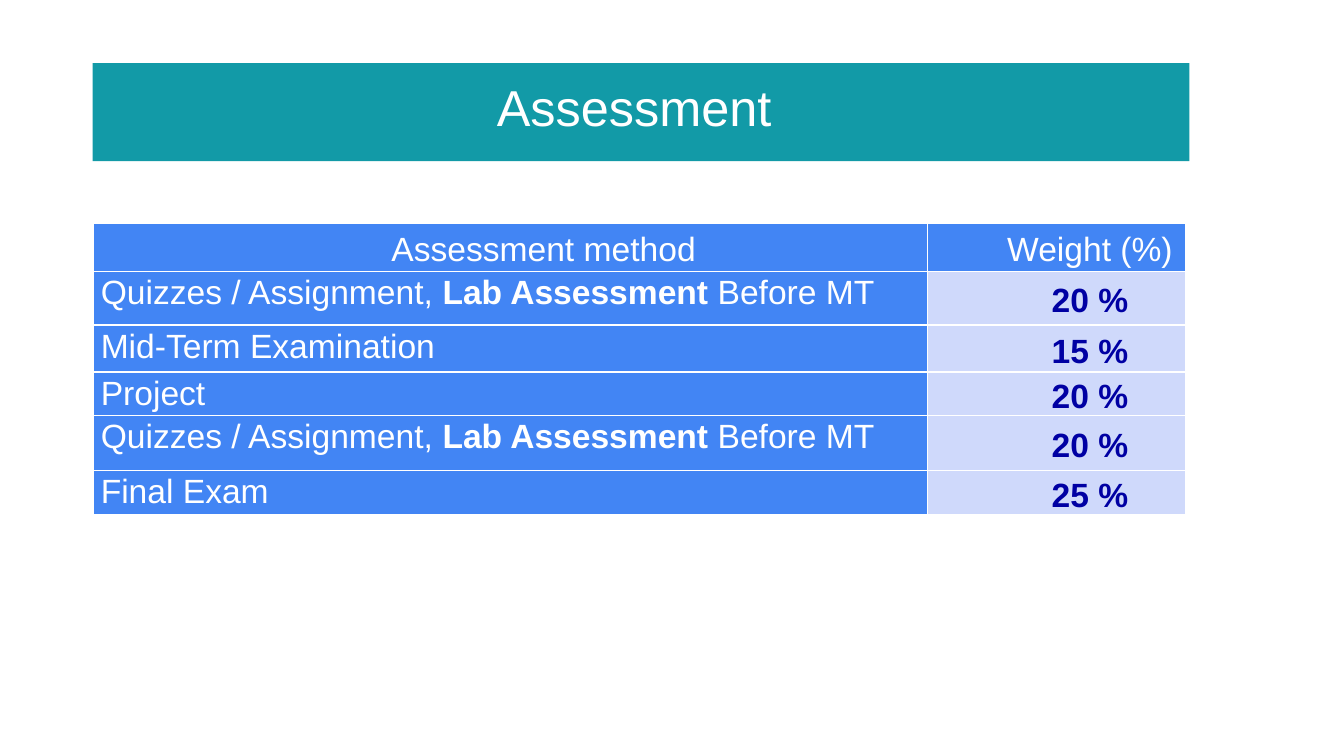
from pptx import Presentation
from pptx.dml.color import RGBColor
from pptx.enum.shapes import MSO_SHAPE
from pptx.enum.text import MSO_ANCHOR, PP_ALIGN
from pptx.util import Inches, Pt

WHITE = RGBColor(0xFF, 0xFF, 0xFF)
TEAL = RGBColor(0x12, 0x9A, 0xA7)
BLUE = RGBColor(0x42, 0x85, 0xF4)
PALE_BLUE = RGBColor(0xCF, 0xD9, 0xFB)
NAVY = RGBColor(0x00, 0x00, 0xA3)


def write(tf, *runs, size=18, color=WHITE, bold=False, align=PP_ALIGN.LEFT,
          spacing=1.0, indent=0):
    """Fill the first paragraph; a run is a string or a (string, bold) pair."""
    p = tf.paragraphs[0]
    p.alignment = align
    p.line_spacing = spacing
    pPr = p._p.get_or_add_pPr()
    pPr.set("marL", str(Inches(indent)))
    pPr.set("indent", "0")
    for run in runs:
        text, run_bold = (run, bold) if isinstance(run, str) else run
        r = p.add_run()
        r.text = text
        r.font.name = "Arial"
        r.font.size = Pt(size)
        r.font.bold = run_bold
        r.font.color.rgb = color


prs = Presentation()
prs.slide_width = Inches(10)
prs.slide_height = Inches(10) * 9 // 16
s = prs.slides.add_slide(prs.slide_layouts[6])

# Title bar
title = s.shapes.add_shape(MSO_SHAPE.RECTANGLE, Inches(0.69), Inches(0.47),
                           Inches(8.16), Inches(0.73))
title.shadow.inherit = False
title.fill.solid()
title.fill.fore_color.rgb = TEAL
title.line.fill.background()
tf = title.text_frame
tf.word_wrap = True
tf.vertical_anchor = MSO_ANCHOR.TOP
tf.margin_left = tf.margin_top = tf.margin_right = tf.margin_bottom = Inches(0.1)
write(tf, "Assessment ", size=27, align=PP_ALIGN.CENTER)

# Assessment table
quizzes = ["Quizzes / Assignment,", (" Lab Assessment ", True), "Before MT"]
rows = [
    (0.36, ["Assessment method"], "Weight (%)"),
    (0.40, quizzes, "20 %"),
    (0.35, ["Mid-Term Examination"], "15 %"),
    (0.32, ["Project"], "20 %"),
    (0.41, quizzes, "20 %"),
    (0.33, ["Final Exam"], "25 %"),
]
table = s.shapes.add_table(len(rows), 2, Inches(0.69), Inches(1.66),
                           Inches(8.13), Inches(2.17)).table
table.horz_banding = False
table.columns[0].width = Inches(6.21)
table.columns[1].width = Inches(1.92)

for i, (height, method, weight) in enumerate(rows):
    table.rows[i].height = Inches(height)
    for j, runs in enumerate((method, [weight])):
        header, value = i == 0, i > 0 and j == 1
        cell = table.cell(i, j)
        cell.margin_left = cell.margin_right = Inches(0.06)
        cell.margin_top = cell.margin_bottom = 0
        cell.fill.solid()
        cell.fill.fore_color.rgb = PALE_BLUE if value else BLUE
        if header or value:
            cell.vertical_anchor = MSO_ANCHOR.MIDDLE
            write(cell.text_frame, *runs, color=NAVY if value else WHITE, bold=value,
                  align=PP_ALIGN.CENTER, spacing=1.15, indent=0.5)
        else:
            cell.vertical_anchor = MSO_ANCHOR.TOP
            write(cell.text_frame, *runs, spacing=1.07)

prs.save("out.pptx")
